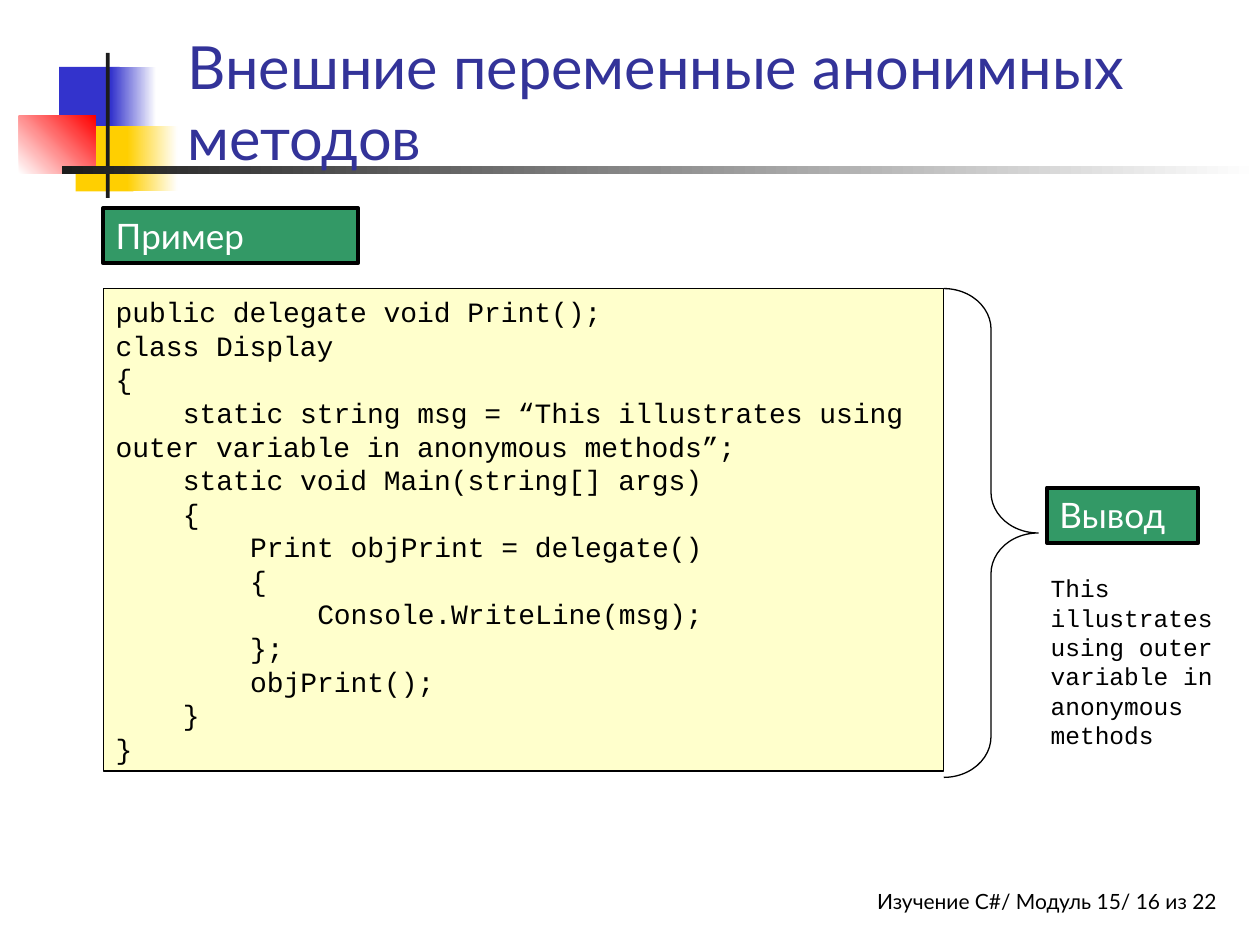
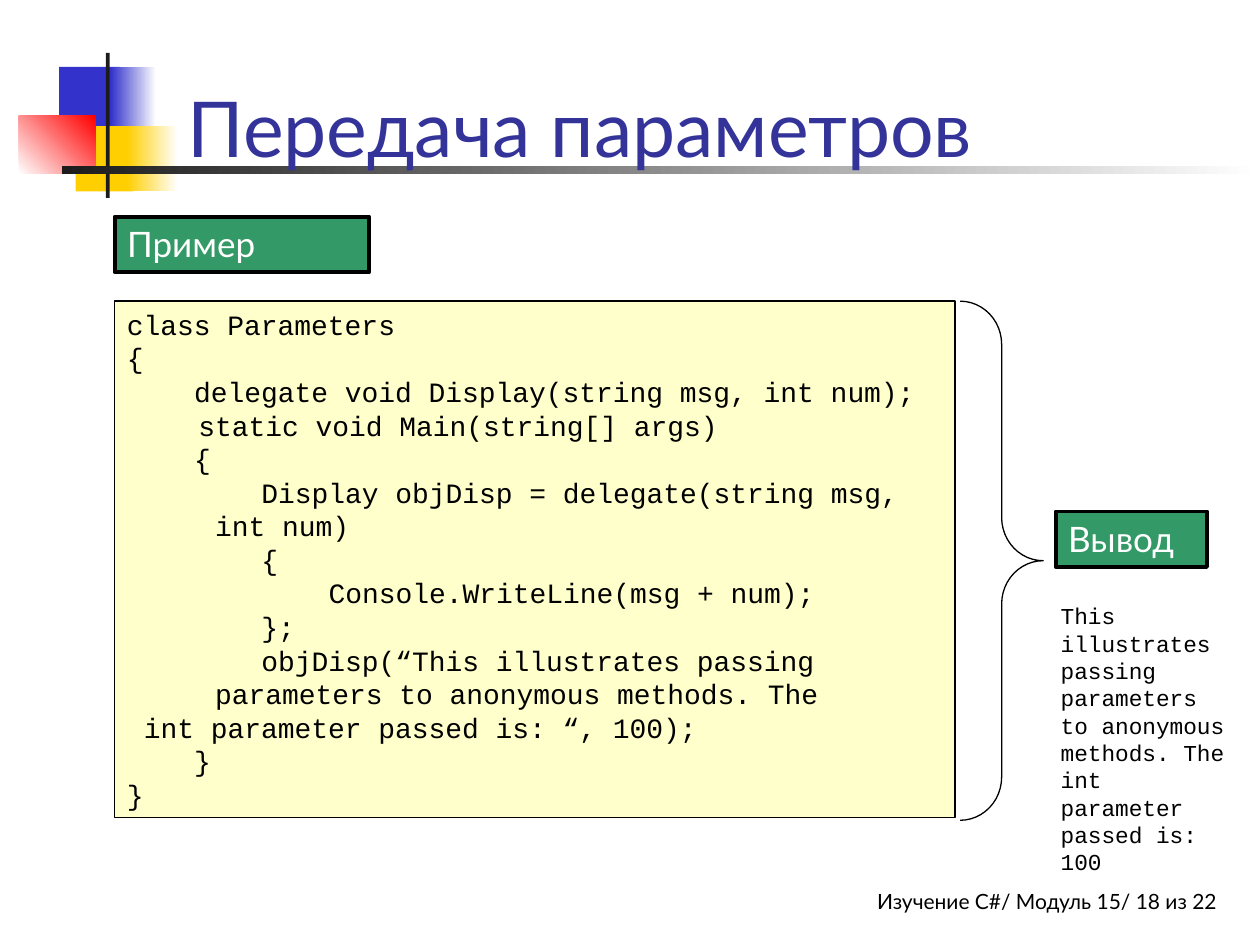
"""Builds two slides on anonymous methods, each with a code example and its output."""
from pptx import Presentation
from pptx.dml.color import RGBColor
from pptx.enum.shapes import MSO_SHAPE as Shape
from pptx.enum.text import MSO_ANCHOR as Anchor, MSO_AUTO_SIZE as AutoSize, PP_ALIGN as Align
from pptx.util import Inches, Pt

LESSONS = [
    {
        "title": "Внешние переменные анонимных методов", "title_size": 34,
        "page": 16,
        "label_at": (0.82, 1.65),
        "code_at": (0.82, 2.29, 6.67, 3.83),
        "brace_at": (7.49, 2.29, 0.75, 3.88),
        "result_label_at": (8.31, 3.87),
        "result_at": (8.24, 4.5, 1.58, 1.5),
        "code": [
            (0, "public delegate void Print();"),
            (0, "class Display"),
            (0, "{"),
            (4, "static string msg = “This illustrates using outer variable in anonymous methods”;"),
            (4, "static void Main(string[] args)"),
            (4, "{"),
            (8, "Print objPrint = delegate()"),
            (8, "{"),
            (12, "Console.WriteLine(msg);"),
            (8, "};"),
            (8, "objPrint();"),
            (4, "}"),
            (0, "}"),
        ],
        "result": "This illustrates using outer variable in anonymous methods",
        "result_size": 14,
    },
    {
        "title": "Передача параметров", "title_size": 44,
        "page": 18,
        "label_at": (0.91, 1.72),
        "code_at": (0.91, 2.39, 6.67, 4.1),
        "brace_at": (7.62, 2.39, 0.66, 4.12),
        "result_label_at": (8.38, 4.06),
        "result_at": (8.32, 4.73, 1.58, 2.27),
        "code": [
            (0, "class Parameters"),
            (0, "{"),
            (4, "delegate void Display(string msg, int num);"),
            (4.25, "static void Main(string[] args)"),
            (4, "{"),
            (8, "Display objDisp = delegate(string msg,"),
            (5.25, "int num)"),
            (8, "{"),
            (12, "Console.WriteLine(msg + num);"),
            (8, "};"),
            (8, "objDisp(“This illustrates passing"),
            (5.25, "parameters to anonymous methods. The"),
            (1, "int parameter passed is: “, 100);"),
            (4, "}"),
            (0, "}"),
        ],
        "result": "This illustrates passing parameters to anonymous methods. "
                  "The int parameter passed is: 100",
        "result_size": 13,
    },
]
FOOTER = "Изучение C#/ Модуль 15/ {} из 22"
LABEL, RESULT_LABEL = ("Пример", 2.02), ("Вывод", 1.2)

COLORS = {
    "blue": "3333CC", "yellow": "FFCF01", "red": "FF0000", "dark": "1C1C1C",
    "white": "FFFFFF", "black": "000000", "title": "333399",
    "label": "339966", "code": "FFFFCC",
}
SANS, MONO = "Lato", "Courier New"
CODE_SIZE = 16
CODE_COLUMN = CODE_SIZE * 0.6

EMBLEM = [
    ((0.47, 0.53, 0.48, 0.52), ("blue",), 0),
    ((0.88, 0.53, 0.36, 0.52), ("blue", "white"), 0),
    ((0.6, 1, 0.46, 0.52), ("yellow",), 0),
    ((1.01, 1, 0.4, 0.52), ("yellow", "white"), 0),
    ((0.15, 0.92, 0.61, 0.46), ("white", "red"), 45),
    ((0.84, 0.42, 0.03, 1.15), ("dark",), 0),
    ((0.49, 1.32, 9.51, 0.06), ("dark", "white"), 0),
]
TITLE_AT = (1.39, 0.17, 8.52, 1.25)
FOOTER_AT = (4.58, 7, 5.08, 0.33)
LABEL_HEIGHT = 0.44


def color(name):
    return RGBColor.from_string(COLORS[name])


def inches(place):
    return [Inches(length) for length in place]


def add_panel(page, place, fills, angle=0, outline=None, kind=Shape.RECTANGLE):
    panel = page.shapes.add_shape(kind, *inches(place))
    panel.shadow.inherit = False
    if not fills:
        panel.fill.background()
    elif len(fills) == 1:
        panel.fill.solid()
        panel.fill.fore_color.rgb = color(fills[0])
    else:
        panel.fill.gradient()
        panel.fill.gradient_angle = angle
        for stop, name in zip(panel.fill.gradient_stops, fills):
            stop.color.rgb = color(name)
    if outline:
        panel.line.color.rgb = color("black")
        panel.line.width = Pt(outline)
    else:
        panel.line.fill.background()
    return panel


def write(box, lines, font, size, ink="black", align=Align.LEFT, anchor=Anchor.TOP):
    frame = box.text_frame
    frame.word_wrap = True
    frame.auto_size = AutoSize.NONE
    frame.vertical_anchor = anchor
    for index, (columns, text) in enumerate(lines):
        para = frame.add_paragraph() if index else frame.paragraphs[0]
        para.alignment = align
        if columns:
            properties = para._p.get_or_add_pPr()
            properties.set("marL", "0")
            properties.set("indent", str(Pt(columns * CODE_COLUMN)))
        span = para.add_run()
        span.text = text
        span.font.name = font
        span.font.size = Pt(size)
        span.font.color.rgb = color(ink)


def add_text(page, place, text, font, size, align=Align.LEFT):
    box = page.shapes.add_textbox(*inches(place))
    write(box, [(0, text)], font, size, align=align)
    return box


def add_label(page, corner, label):
    text, width = label
    panel = add_panel(page, (*corner, width, LABEL_HEIGHT), ["label"], outline=2.25)
    write(panel, [(0, text)], SANS, 20, "white")


def add_brace(page, place):
    width, height = place[2:]
    brace = add_panel(page, place, [], outline=0.75, kind=Shape.RIGHT_BRACE)
    brace.adjustments[0] = height / 12 / width


def add_emblem(page):
    for place, fills, angle in EMBLEM:
        panel = add_panel(page, place, fills, angle)
        page.slide_layout.shapes.element.append(panel.element)


def add_lesson(page, lesson):
    title = page.shapes.title
    title.left, title.top, title.width, title.height = inches(TITLE_AT)
    write(title, [(0, lesson["title"])], SANS, lesson["title_size"], "title",
          anchor=Anchor.BOTTOM)
    add_label(page, lesson["label_at"], LABEL)
    code = add_panel(page, lesson["code_at"], ["code"], outline=0.75)
    write(code, lesson["code"], MONO, CODE_SIZE)
    add_brace(page, lesson["brace_at"])
    add_label(page, lesson["result_label_at"], RESULT_LABEL)
    add_text(page, lesson["result_at"], lesson["result"], MONO, lesson["result_size"])
    footer = add_text(page, FOOTER_AT, FOOTER.format(lesson["page"]), SANS, 12, Align.RIGHT)
    footer.text_frame.margin_right = 0


def main():
    deck = Presentation()
    deck.slide_width, deck.slide_height = Inches(10), Inches(7.5)
    layout = deck.slide_layouts[5]
    pages = [deck.slides.add_slide(layout) for _ in LESSONS]
    add_emblem(pages[0])
    for page, lesson in zip(pages, LESSONS):
        add_lesson(page, lesson)
    deck.save("out.pptx")


if __name__ == "__main__":
    main()
